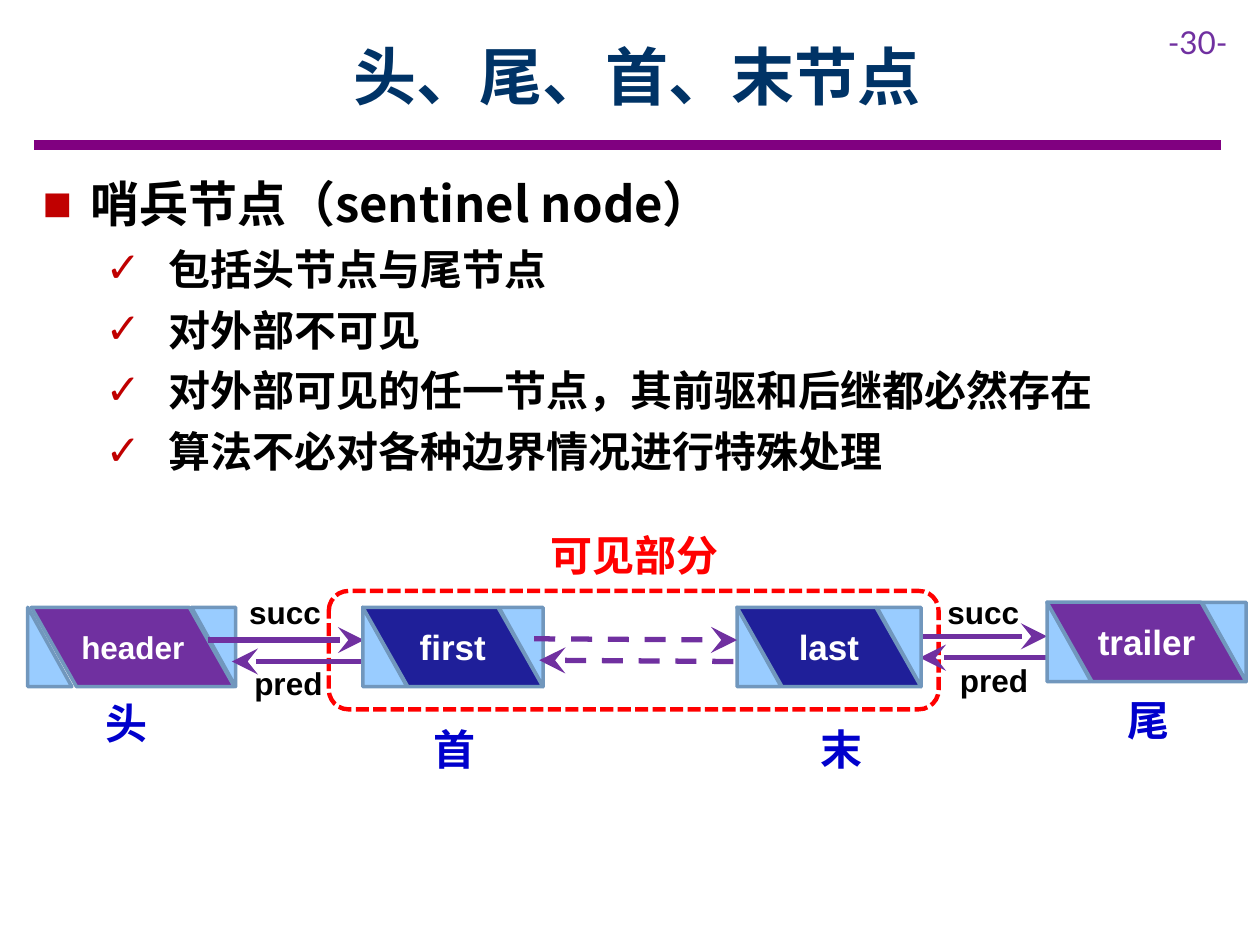
from lxml import etree
from pptx import Presentation
from pptx.dml.color import RGBColor
from pptx.enum.dml import MSO_LINE
from pptx.enum.shapes import MSO_CONNECTOR, MSO_SHAPE
from pptx.enum.text import MSO_ANCHOR, PP_ALIGN
from pptx.oxml.ns import qn
from pptx.util import Inches, Pt

CENTER, LEFT = PP_ALIGN.CENTER, PP_ALIGN.LEFT
MIDDLE, TOP = MSO_ANCHOR.MIDDLE, MSO_ANCHOR.TOP
DASH, SHORT_DASH = MSO_LINE.DASH, MSO_LINE.SQUARE_DOT
STRAIGHT = MSO_CONNECTOR.STRAIGHT
ROUNDED = MSO_SHAPE.ROUNDED_RECTANGLE
SLANTED = MSO_SHAPE.PARALLELOGRAM
TRIANGLE = MSO_SHAPE.RIGHT_TRIANGLE

CJK, SANS, NUMBER = "Noto Sans CJK SC", "Arial", "Lato"
COLORS = {
    "rule": "800080", "title": "003366", "purple": "7030A0", "navy": "1F1F99",
    "sky": "99CCFF", "edge": "7197BD", "red": "FF0000", "bullet": "C00000",
    "blue": "0000CC", "black": "000000", "white": "FFFFFF",
}
NODE_HEIGHT, CORNER_WIDTH = 0.63, 0.35

BULLETS = [
    ("哨兵节点（sentinel node）", 0),
    ("包括头节点与尾节点", 1),
    ("对外部不可见", 1),
    ("对外部可见的任一节点，其前驱和后继都必然存在", 1),
    ("算法不必对各种边界情况进行特殊处理", 1),
]
LEVELS = [("■", 28, 0.38, 0.38), ("✓", 24, 1, 0.5)]
NODES = [
    ("first", 2.88, 4.82, 1.43, "navy"),
    ("last", 5.85, 4.82, 1.46, "navy"),
    ("trailer", 8.31, 4.78, 1.58, "purple"),
]
SOLID_ARROWS = [
    ((1.65, 5.08), (2.89, 5.08)), ((3, 5.25), (1.84, 5.25)),
    ((7.07, 5.05), (8.31, 5.05)), ((8.47, 5.22), (7.3, 5.22)),
]
DASHED_ARROWS = [((4.24, 5.07), (5.85, 5.08)), ((5.82, 5.25), (4.28, 5.24))]
LINK_LABELS = [
    ("succ", 1.88, 4.66), ("pred", 1.92, 5.22),
    ("succ", 7.42, 4.66), ("pred", 7.52, 5.2),
]
POSITION_LABELS = [
    ("头", 0.74, 5.49), ("首", 3.34, 5.69), ("末", 6.41, 5.69), ("尾", 8.85, 5.46),
]


def rgb(name):
    """Return the named colour."""
    return RGBColor.from_string(COLORS[name])


def add_span(para, text, size, color, font, bold=True):
    """Add one formatted run, with the font set for both scripts."""
    span = para.add_run()
    span.text = text
    span.font.size = Pt(size)
    span.font.bold = bold
    span.font.name = font
    span.font.color.rgb = rgb(color)
    east_asian = etree.SubElement(span.font._element, qn("a:ea"))
    east_asian.set("typeface", font)


def add_text(page, text, at, size, color, font, bold=True, align=LEFT, anchor=TOP):
    """Add a text box holding one line."""
    box = page.shapes.add_textbox(*map(Inches, at))
    box.text_frame.word_wrap = True
    box.text_frame.vertical_anchor = anchor
    para = box.text_frame.paragraphs[0]
    para.alignment = align
    add_span(para, text, size, color, font, bold)


def add_bullets(page, at):
    """Add the two-level bulleted list."""
    box = page.shapes.add_textbox(*map(Inches, at))
    frame = box.text_frame
    frame.word_wrap = True
    for index, (text, level) in enumerate(BULLETS):
        mark, size, margin, hanging = LEVELS[level]
        para = frame.add_paragraph() if index else frame.paragraphs[0]
        para.level = level
        para.space_after = Pt(6)
        props = para._p.get_or_add_pPr()
        props.set("marL", str(Inches(margin)))
        props.set("indent", str(-Inches(hanging)))
        tint = etree.SubElement(props, qn("a:buClr"))
        etree.SubElement(tint, qn("a:srgbClr")).set("val", COLORS["bullet"])
        etree.SubElement(props, qn("a:buFont")).set("typeface", SANS)
        etree.SubElement(props, qn("a:buChar")).set("char", mark)
        add_span(para, text, size, "black", CJK)


def add_line(page, start, end, color, width, dash=None, arrow=False):
    """Add a straight line, with an arrowhead at its end if asked."""
    line = page.shapes.add_connector(STRAIGHT, *map(Inches, start + end))
    line.line.color.rgb = rgb(color)
    line.line.width = Pt(width)
    if dash:
        line.line.dash_style = dash
    if arrow:
        tip = etree.SubElement(line.line._get_or_add_ln(), qn("a:tailEnd"))
        for key, value in (("type", "stealth"), ("w", "lg"), ("len", "lg")):
            tip.set(key, value)
    etree.SubElement(line.element.spPr, qn("a:effectLst"))


def add_outlined(holder, kind, at, fill, edge="edge", width=2):
    """Add a filled and outlined preset shape."""
    shape = holder.shapes.add_shape(kind, *map(Inches, at))
    shape.shadow.inherit = False
    shape.fill.solid()
    shape.fill.fore_color.rgb = rgb(fill)
    shape.line.color.rgb = rgb(edge)
    shape.line.width = Pt(width)
    return shape


def add_corners(group, left, top, width):
    """Add the two triangles that complete a node's rectangle."""
    for x, turn in ((left, 0), (left + width - CORNER_WIDTH, 180)):
        at = (x, top, CORNER_WIDTH, NODE_HEIGHT)
        add_outlined(group, TRIANGLE, at, "sky").rotation = turn


def add_body(group, name, left, top, width, fill, size):
    """Add a node's slanted body with its name."""
    body = add_outlined(group, SLANTED, (left, top, width, NODE_HEIGHT), fill)
    body.adjustments[0] = 0.567
    body.element.spPr.xfrm.set("flipH", "1")
    frame = body.text_frame
    frame.word_wrap = False
    frame.vertical_anchor = MIDDLE
    frame.paragraphs[0].alignment = CENTER
    add_span(frame.paragraphs[0], name, size, "white", SANS)


def add_node(page, name, left, top, width, fill):
    """Add a list node as a group."""
    group = page.shapes.add_group_shape()
    add_corners(group, left, top, width)
    add_body(group, name, left, top, width, fill, 20)


def add_header(page):
    """Add the header node, whose corners lie over its body."""
    group = page.shapes.add_group_shape()
    add_body(group, "header", 0.25, 4.82, 1.61, "purple", 18)
    add_corners(group, 0.22, 4.82, 1.65)


def main():
    """Build the slide and save it."""
    deck = Presentation()
    deck.slide_width, deck.slide_height = Inches(10), Inches(7.5)
    page = deck.slides.add_slide(deck.slide_layouts[6])

    add_line(page, (0.27, 1.15), (9.69, 1.15), "rule", 6)
    add_text(page, "-30-", (9.17, 0.13, 0.83, 0.4), 18, "purple", NUMBER, bold=False)
    add_text(page, "头、尾、首、末节点", (0.9, 0.1, 8.31, 1), 36, "title", CJK,
             align=CENTER, anchor=MIDDLE)
    add_text(page, "可见部分", (4.27, 4.15, 1.57, 0.5), 24, "red", CJK)
    visible = add_outlined(page, ROUNDED, (2.61, 4.69, 4.84, 0.94), "white", "red", 2.5)
    visible.line.dash_style = SHORT_DASH

    add_header(page)
    for start, end in SOLID_ARROWS:
        add_line(page, start, end, "purple", 3, arrow=True)
    for text, left, top in LINK_LABELS:
        add_text(page, text, (left, top, 0.83, 0.4), 18, "black", SANS)
    for node in NODES:
        add_node(page, *node)
    for start, end in DASHED_ARROWS:
        add_line(page, start, end, "purple", 3, DASH, arrow=True)
    for text, left, top in POSITION_LABELS:
        add_text(page, text, (left, top, 0.65, 0.5), 24, "blue", CJK)
    add_bullets(page, (0.24, 1.33, 9.34, 2.52))

    deck.save("out.pptx")


if __name__ == "__main__":
    main()
